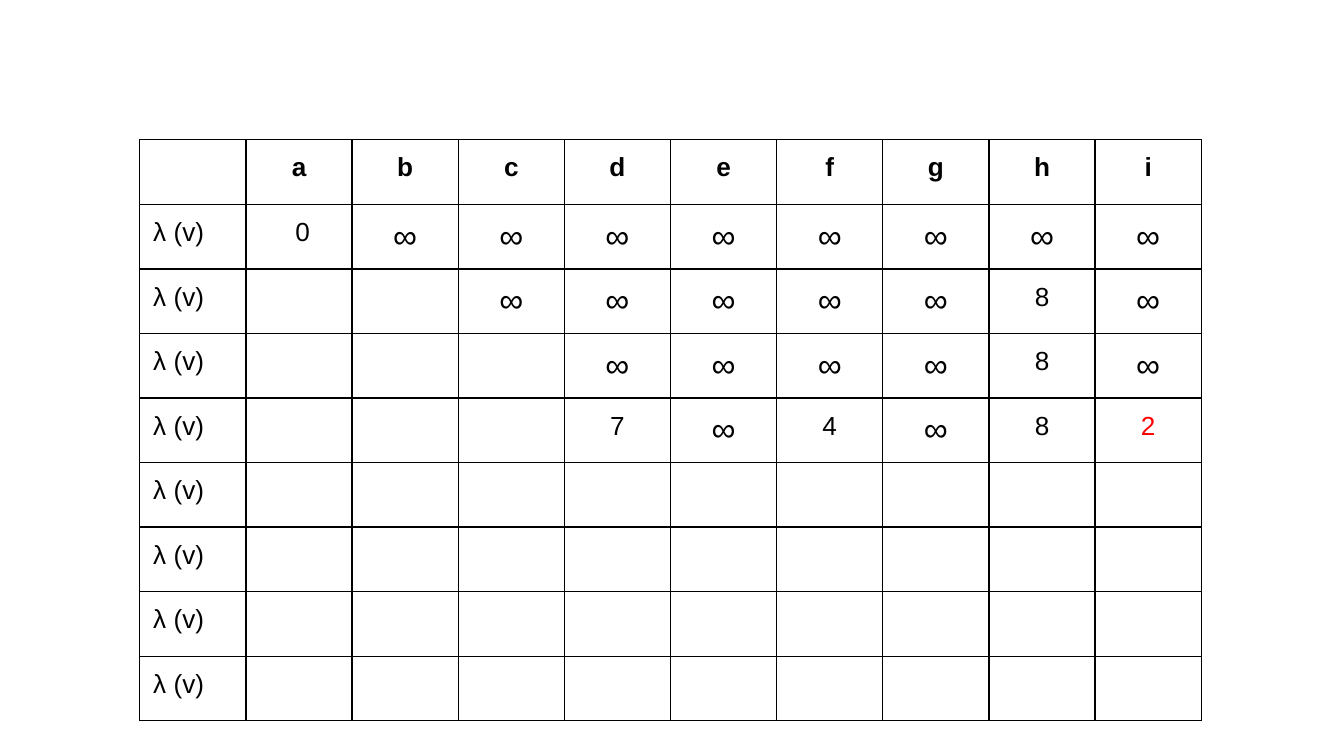
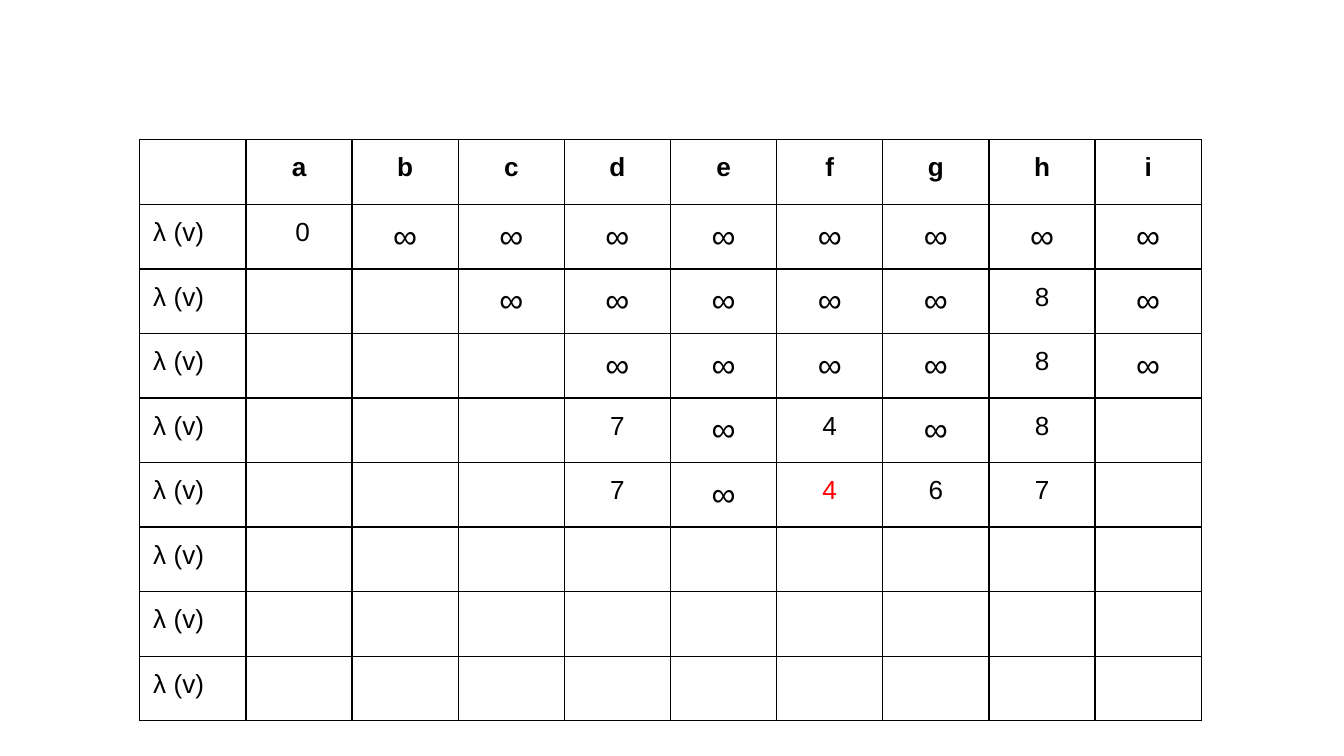
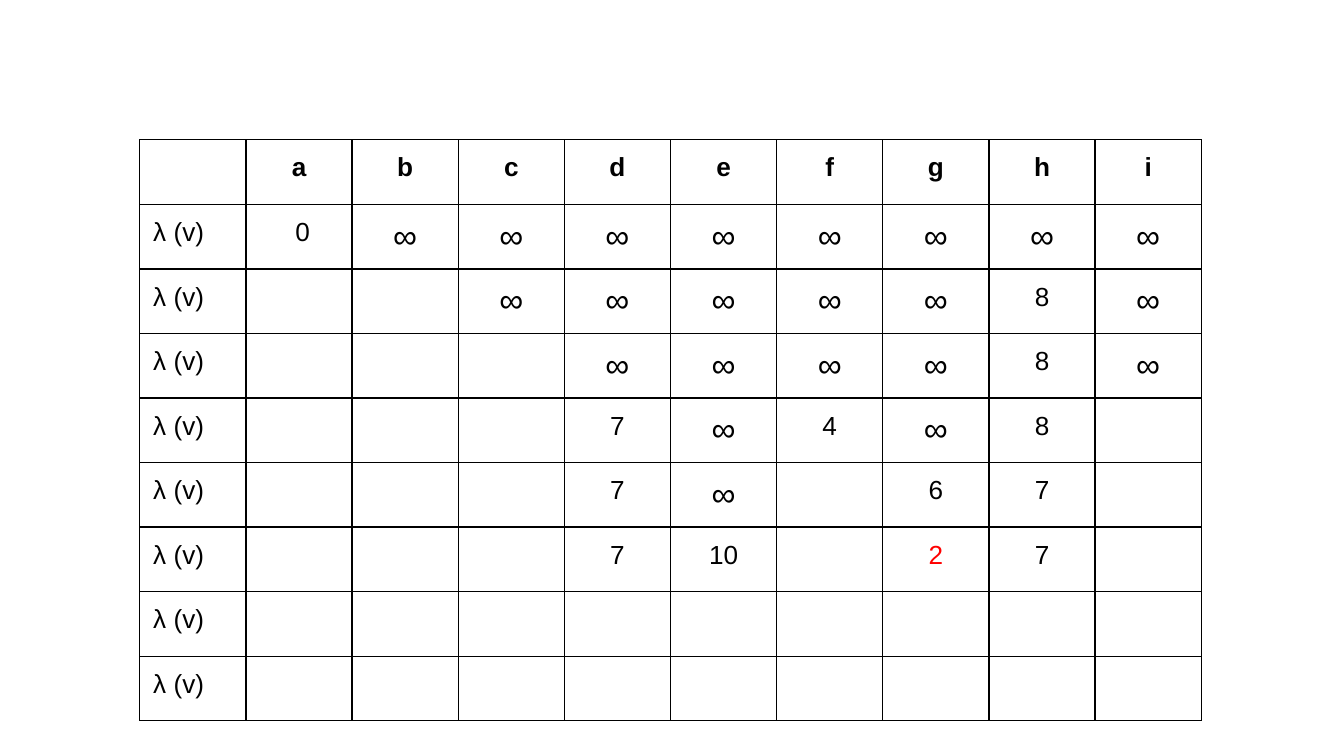
from dataclasses import dataclass

from lxml import etree
from pptx import Presentation
from pptx import util as u
from pptx.dml.color import RGBColor
from pptx.enum import text
from pptx.oxml import ns


@dataclass(frozen=True)
class Theme:
    """Colours, type and measures shared by all slides."""
    font: str = "Arial"
    ink: str = "000000"
    pick: str = "FF0000"
    size: int = 14
    infinity_size: int = 18
    border: float = 0.75
    left: float = 1.04
    top: float = 1.04
    frame: float = 3.28
    col: float = 0.79
    row: float = 0.42
    margin: float = 0.1


THEME = Theme()
INFINITY = "∞"
VERTICES = "abcdefghi"
LABEL = "λ (v)"
LABEL_ROWS = 8

# Each step: the labels of the vertices still open, and the vertex picked
# from them (None where the pick is not marked).
STEPS = [
    (dict.fromkeys(VERTICES, INFINITY) | {"a": " 0"}, None),
    (dict.fromkeys("cdefgi", INFINITY) | {"h": "8"}, None),
    (dict.fromkeys("defgi", INFINITY) | {"h": "8"}, None),
    ({"d": "7", "e": INFINITY, "f": "4", "g": INFINITY, "h": "8", "i": "2"}, "i"),
    ({"d": "7", "e": INFINITY, "f": "4", "g": "6", "h": "7"}, "f"),
    ({"d": "7", "e": "10", "g": "2", "h": "7"}, "g"),
]
FIRST_SHOWN = 4


def set_borders(cell):
    """Draw a thin line on all four sides of a cell."""
    tc_pr = cell._tc.get_or_add_tcPr()
    for i, side in enumerate(("lnL", "lnR", "lnT", "lnB")):
        ln = etree.Element(ns.qn(f"a:{side}"), w=str(u.Pt(THEME.border)))
        fill = etree.SubElement(ln, ns.qn("a:solidFill"))
        etree.SubElement(fill, ns.qn("a:srgbClr"), val=THEME.ink)
        tc_pr.insert(i, ln)


def set_empty_type(cell):
    """Give a cell without text the type that sets its row's height."""
    p = cell.text_frame.paragraphs[0]
    end = etree.SubElement(p._p, ns.qn("a:endParaRPr"),
                           sz=str(THEME.infinity_size * 100))
    etree.SubElement(end, ns.qn("a:latin"), typeface=THEME.font)


def format_cell(cell):
    """Give a cell its margins, empty fill and borders."""
    cell.margin_left = cell.margin_right = u.Inches(THEME.margin)
    cell.margin_top = cell.margin_bottom = u.Inches(THEME.margin)
    cell.fill.background()
    set_borders(cell)


def write(cell, words, color=THEME.ink, bold=False, centred=True):
    """Write one run into a cell; infinity signs are set larger."""
    p = cell.text_frame.paragraphs[0]
    if centred:
        p.alignment = text.PP_ALIGN.CENTER
    r = p.add_run()
    r.text = words
    r.font.name = THEME.font
    r.font.size = u.Pt(THEME.infinity_size if words == INFINITY else THEME.size)
    r.font.bold = bold
    r.font.color.rgb = RGBColor.from_string(color)


def add_grid(s, rows, cols):
    """Add a plain bordered table of equal cells."""
    side = u.Inches(THEME.frame)
    frame = s.shapes.add_table(
        rows, cols, u.Inches(THEME.left), u.Inches(THEME.top), side, side)
    table = frame.table
    table.first_row = table.horz_banding = False
    for column in table.columns:
        column.width = u.Inches(THEME.col)
    for row in table.rows:
        row.height = u.Inches(THEME.row)
    frame.width = frame.height = side
    for cell in table.iter_cells():
        format_cell(cell)
    return table


def add_step_slide(prs, steps):
    """Show the steps so far: the newest pick in red, earlier picks cleared."""
    s = prs.slides.add_slide(prs.slide_layouts[6])
    table = add_grid(s, LABEL_ROWS + 1, len(VERTICES) + 1)
    for col, vertex in enumerate(VERTICES, 1):
        write(table.cell(0, col), vertex, bold=True)
    for row in range(1, LABEL_ROWS + 1):
        write(table.cell(row, 0), LABEL, centred=False)
    for row, (labels, picked) in enumerate(steps, 1):
        newest = row == len(steps)
        for vertex, value in labels.items():
            if vertex == picked and not newest:
                continue
            color = THEME.pick if vertex == picked else THEME.ink
            write(table.cell(row, VERTICES.index(vertex) + 1), value, color)
    for cell in table.iter_cells():
        if not cell.text:
            set_empty_type(cell)


def main():
    """Build one slide for each marked step."""
    prs = Presentation()
    prs.slide_width = u.Inches(10)
    prs.slide_height = prs.slide_width * 9 // 16
    for count in range(FIRST_SHOWN, len(STEPS) + 1):
        add_step_slide(prs, STEPS[:count])
    prs.save("out.pptx")


main()
